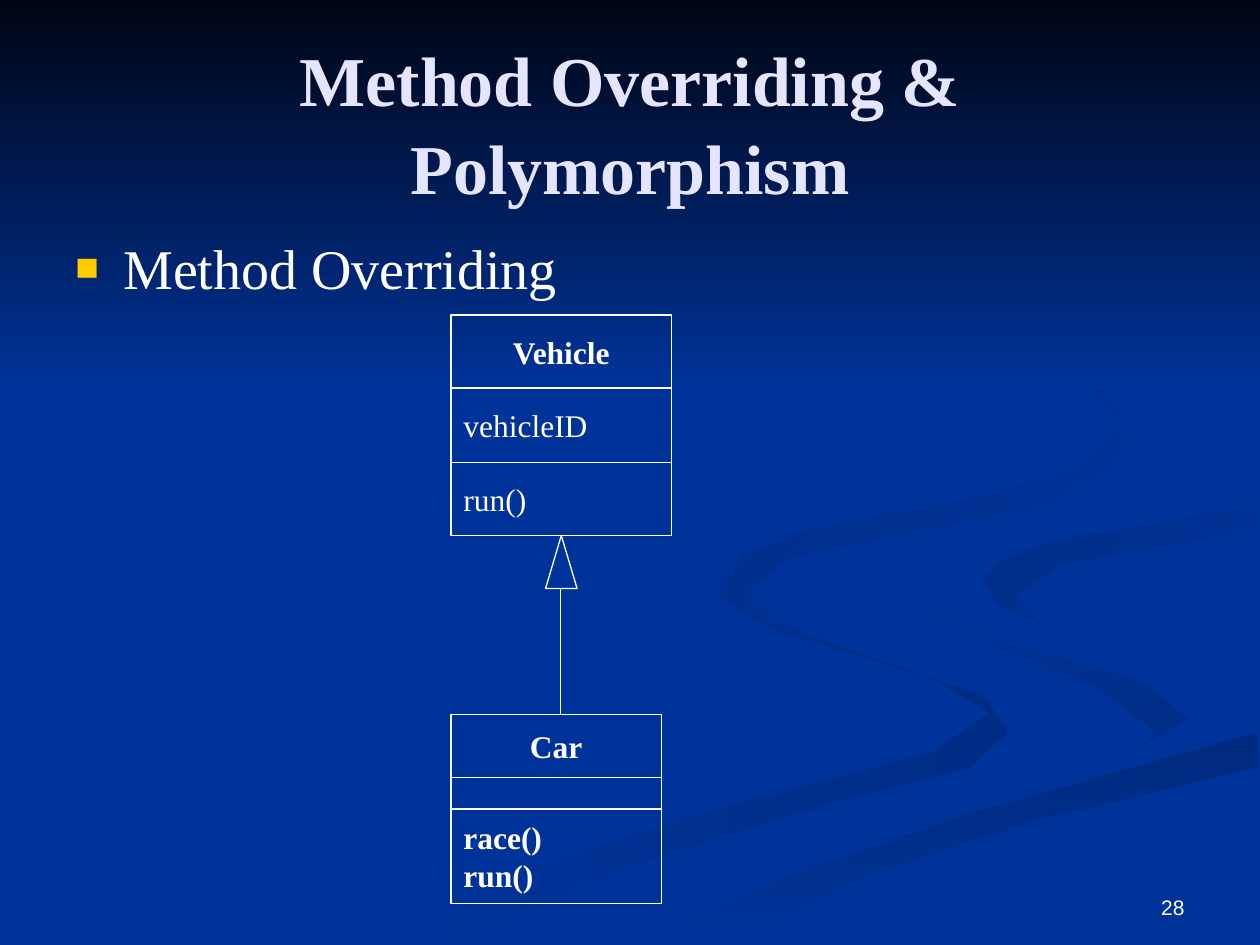
from lxml import etree
from pptx import Presentation
from pptx import util as u
from pptx.dml.color import RGBColor
from pptx.enum import shapes, text
from pptx.oxml.ns import qn

PX = 9144
BLUE = RGBColor(0x00, 0x33, 0x99)
SHADE = RGBColor(0x00, 0x2C, 0x86)
DEEP = RGBColor(0x00, 0x2A, 0x7D)
NIGHT = RGBColor(0x00, 0x05, 0x14)
GOLD = RGBColor(0xFF, 0xCC, 0x00)
WHITE = RGBColor(0xFF, 0xFF, 0xFF)
LAVENDER = RGBColor(0xE5, 0xE5, 0xFF)
SERIF = "Times New Roman"
LEFT, CENTER, RIGHT = text.PP_ALIGN.LEFT, text.PP_ALIGN.CENTER, text.PP_ALIGN.RIGHT
TOP, MIDDLE, BOTTOM = text.MSO_ANCHOR.TOP, text.MSO_ANCHOR.MIDDLE, text.MSO_ANCHOR.BOTTOM


def write(shape, lines, size=18, font=SERIF, color=WHITE, bold=False,
          align=LEFT, anchor=MIDDLE, top=5, spacing=1.0):
    frame = shape.text_frame
    frame.word_wrap = True
    frame.vertical_anchor = anchor
    frame.margin_left = frame.margin_right = 10 * PX
    frame.margin_top, frame.margin_bottom = top * PX, 5 * PX
    for index, line in enumerate(lines):
        paragraph = frame.add_paragraph() if index else frame.paragraphs[0]
        paragraph.text = line
        paragraph.alignment = align
        paragraph.line_spacing = spacing
        run_font = paragraph.runs[0].font
        run_font.name, run_font.size, run_font.bold = font, u.Pt(size), bold
        run_font.color.rgb = color
    return frame


presentation = Presentation()
presentation.slide_width, presentation.slide_height = 1000 * PX, 750 * PX
slide = presentation.slides.add_slide(presentation.slide_layouts[6])
slide.background.fill.solid()
slide.background.fill.fore_color.rgb = BLUE

waves = [
    (BLUE, SHADE, 0, [
        (781, 553), (682, 519), (594, 485), (575, 459), (570, 472), (611, 499),
        (741, 539), (786, 566), (739, 598), (579, 639), (417, 690), (300, 749),
        (361, 749), (499, 687), (651, 640), (769, 609), (800, 581)]),
    (BLUE, SHADE, 45, [
        (943, 570), (905, 540), (774, 503), (724, 464), (739, 494),
        (868, 544), (918, 581), (894, 605), (932, 589)]),
    (DEEP, BLUE, 90, [
        (503, 749), (571, 749), (695, 692), (821, 651), (998, 609),
        (998, 581), (764, 647), (630, 693)]),
    (BLUE, BLUE, 0, [
        (725, 464), (774, 503), (905, 540), (943, 570), (881, 608), (663, 668),
        (477, 749), (503, 749), (630, 693), (764, 647), (999, 581), (999, 538),
        (832, 498), (781, 463), (850, 427), (999, 402), (999, 387), (770, 427)]),
    (SHADE, BLUE, 45, [
        (781, 460), (791, 478), (826, 496), (805, 472), (843, 448),
        (998, 420), (998, 402), (835, 430), (791, 447)]),
    (SHADE, BLUE, 45, [
        (683, 430), (825, 402), (883, 370), (894, 344), (873, 299), (821, 261),
        (762, 233), (846, 279), (889, 335), (861, 370), (791, 392), (637, 422),
        (589, 441), (577, 462), (590, 484), (622, 500), (593, 470), (624, 444)]),
    (NIGHT, BLUE, 90, [(0, 0), (0, 308), (1000, 308), (1000, 0)]),
]
for start, end, angle, points in waves:
    builder = slide.shapes.build_freeform(*points[0], scale=PX)
    builder.add_line_segments(points[1:], close=True)
    wave = builder.convert_to_shape()
    wave.shadow.inherit = False
    wave.line.fill.background()
    if start == end:
        wave.fill.solid()
        wave.fill.fore_color.rgb = start
    else:
        wave.fill.gradient()
        wave.fill.gradient_angle = -angle % 360
        for stop, color in zip(wave.fill.gradient_stops, (start, end)):
            stop.color.rgb = color

title = slide.shapes.add_textbox(50 * PX, 30 * PX, 900 * PX, 125 * PX)
write(title, ["Method Overriding & Polymorphism"], size=40, color=LAVENDER,
      bold=True, align=CENTER, top=11, spacing=1.05)

body = slide.shapes.add_textbox(50 * PX, 175 * PX, 900 * PX, 495 * PX)
frame = write(body, ["Method Overriding"], size=32, anchor=TOP, top=10)
properties = frame.paragraphs[0]._p.get_or_add_pPr()
properties.set("marL", str(38 * PX))
properties.set("indent", str(-38 * PX))
bullet_color = etree.SubElement(properties, qn("a:buClr"))
etree.SubElement(bullet_color, qn("a:srgbClr"), val=str(GOLD))
etree.SubElement(properties, qn("a:buSzPct"), val="70000")
etree.SubElement(properties, qn("a:buFont"), typeface="Arial")
etree.SubElement(properties, qn("a:buChar"), char="■")

classes = [
    (250, 175, [(58, ["Vehicle"], True, CENTER),
                (59, ["vehicleID"], False, LEFT),
                (58, ["run()"], False, LEFT)]),
    (567, 167, [(50, ["Car"], True, CENTER),
                (25, [], False, LEFT),
                (75, ["race()", "run()"], True, LEFT)]),
]
outlines = []
for top, width, compartments in classes:
    for height, lines, bold, align in compartments:
        box = slide.shapes.add_shape(shapes.MSO_SHAPE.RECTANGLE,
                                     358 * PX, top * PX, width * PX, height * PX)
        write(box, lines, bold=bold, align=align)
        outlines.append(box)
        top += height

arrowhead = slide.shapes.add_shape(shapes.MSO_SHAPE.ISOSCELES_TRIANGLE,
                                   433 * PX, 425 * PX, 25 * PX, 42 * PX)
outlines.append(arrowhead)
for shape in outlines:
    shape.shadow.inherit = False
    shape.fill.background()
    shape.line.color.rgb = WHITE
    shape.line.width = u.Pt(0.75)

stem = slide.shapes.add_connector(shapes.MSO_CONNECTOR.STRAIGHT,
                                  445 * PX, 467 * PX, 445 * PX, 567 * PX)
stem.line.color.rgb = WHITE
stem.line.width = u.Pt(0.75)
etree.SubElement(stem._element.spPr, qn("a:effectLst"))

page_number = slide.shapes.add_textbox(717 * PX, 683 * PX, 233 * PX, 52 * PX)
write(page_number, ["28"], size=12, font="Arial", align=RIGHT, anchor=BOTTOM)

presentation.save("out.pptx")
